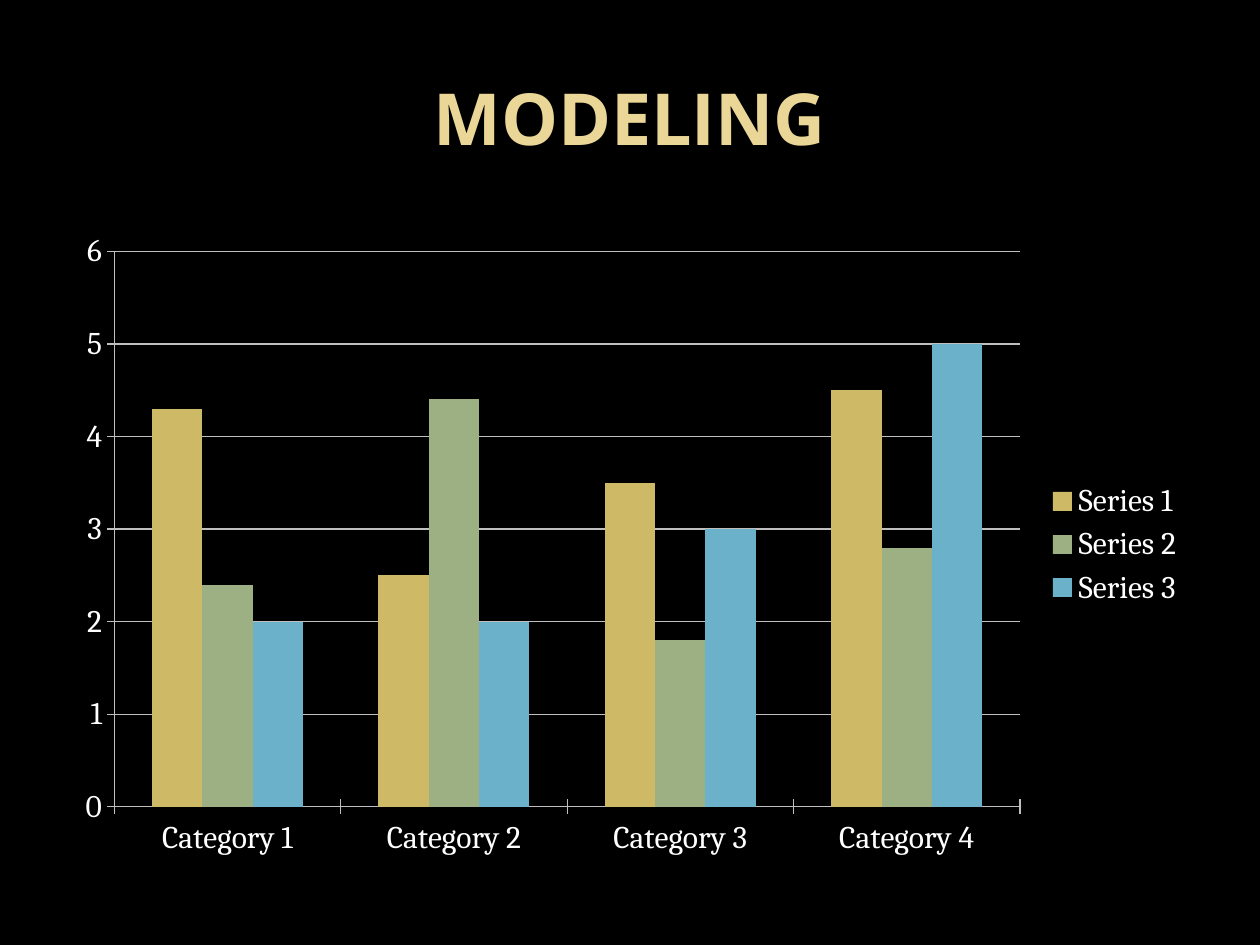
from pptx import Presentation
from pptx.chart.data import CategoryChartData as Data
from pptx.dml.color import RGBColor
from pptx.enum.chart import XL_CHART_TYPE as Kind, XL_LEGEND_POSITION as Side, XL_TICK_MARK as Tick
from pptx.enum.text import MSO_ANCHOR as Anchor, PP_ALIGN as Align
from pptx.util import Emu, Pt

BLACK = RGBColor(0x00, 0x00, 0x00)
WHITE = RGBColor(0xFF, 0xFF, 0xFF)
GRAY = RGBColor(0xBF, 0xBF, 0xBF)
CREAM = RGBColor(0xEA, 0xD6, 0x96)
GOLD = RGBColor(0xCE, 0xB9, 0x66)
GREEN = RGBColor(0x9C, 0xB0, 0x84)
BLUE = RGBColor(0x6B, 0xB1, 0xC9)

TITLE = "MODELING"
CATS = ["Category 1", "Category 2", "Category 3", "Category 4"]
SERIES = [
    ("Series 1", (4.3, 2.5, 3.5, 4.5), GOLD),
    ("Series 2", (2.4, 4.4, 1.8, 2.8), GREEN),
    ("Series 3", (2, 2, 3, 5), BLUE),
]
SIZE = (1260, 945)
HEAD = (63, 38, 1134, 157)
PLOT = (63, 220, 1134, 649)


def px(*nums):
    return [Emu(round(n * 914400 / 126)) for n in nums]


def add_title(slide):
    frame = slide.shapes.add_textbox(*px(*HEAD)).text_frame
    frame.word_wrap = True
    frame.vertical_anchor = Anchor.MIDDLE
    para = frame.paragraphs[0]
    para.alignment = Align.CENTER
    run = para.add_run()
    run.text = TITLE
    font = run.font
    font.name, font.size, font.bold = "Open Sans", Pt(41), True
    font.color.rgb = CREAM


def add_bars(slide):
    data = Data()
    data.categories = CATS
    for name, vals, _ in SERIES:
        data.add_series(name, vals)
    chart = slide.shapes.add_chart(Kind.COLUMN_CLUSTERED, *px(*PLOT), data).chart
    chart.has_title = False
    chart.font.name, chart.font.size = "Cambria", Pt(18)
    chart.font.color.rgb = WHITE
    chart.has_legend = True
    chart.legend.position = Side.RIGHT
    chart.legend.include_in_layout = False

    plot = chart.plots[0]
    plot.vary_by_categories = False
    plot.gap_width, plot.overlap = 150, 0
    for item, (_, _, color) in zip(plot.series, SERIES):
        item.format.fill.solid()
        item.format.fill.fore_color.rgb = color

    cat, val = chart.category_axis, chart.value_axis
    val.has_major_gridlines = True
    val.minimum_scale, val.maximum_scale, val.major_unit = 0, 6, 1
    for axis in (cat, val):
        axis.major_tick_mark = Tick.CROSS
    for part in (cat, val, val.major_gridlines):
        part.format.line.color.rgb = GRAY
        part.format.line.width = Pt(0.75)


def main():
    deck = Presentation()
    deck.slide_width, deck.slide_height = px(*SIZE)
    slide = deck.slides.add_slide(deck.slide_layouts[6])
    slide.background.fill.solid()
    slide.background.fill.fore_color.rgb = BLACK
    add_title(slide)
    add_bars(slide)
    deck.save("out.pptx")


if __name__ == "__main__":
    main()
